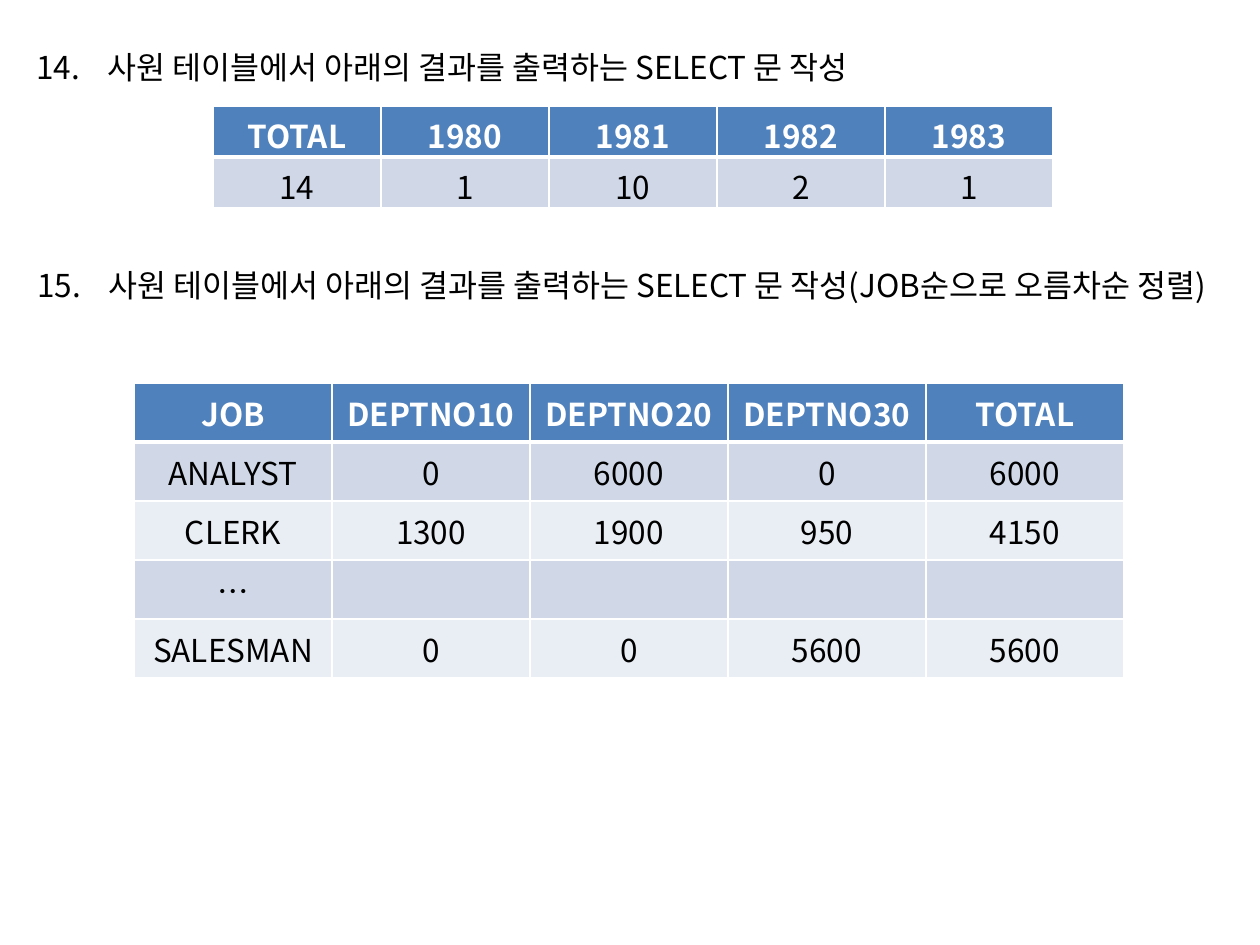
from lxml import etree
from pptx import Presentation
from pptx.dml.color import RGBColor
from pptx.enum.text import MSO_ANCHOR, PP_ALIGN
from pptx.oxml.ns import qn
from pptx.util import Emu, Pt

SCALE = 914400 // 126
CENTER, MIDDLE = PP_ALIGN.CENTER, MSO_ANCHOR.MIDDLE
FONT = "Noto Sans CJK KR"
WHITE, BLACK = "FFFFFF", "000000"
HEADER_FILL, BAND_FILLS = "4F81BD", ("D0D8E8", "E9EDF4")
HEADER_TEXT = {"bold": True, "color": WHITE}
BODY_TEXT = {"bold": False, "color": BLACK}


def px(length):
    return Emu(length * SCALE)


def color(value):
    return RGBColor.from_string(value)


def add_span(para, text, style):
    span = para.add_run()
    span.text = text
    values = {"name": FONT, "size": Pt(18), "bold": style["bold"]}
    for name, value in values.items():
        setattr(span.font, name, value)
    span.font.color.rgb = color(style["color"])
    etree.SubElement(span.font._element, qn("a:ea"), typeface=FONT)


def add_question(page, box, number, text):
    """Numbered question with a hanging indent."""
    frame = page.shapes.add_textbox(*map(px, box)).text_frame
    frame.word_wrap = True
    para = frame.paragraphs[0]
    para.line_spacing = 1.7
    para.space_before = Pt(3.6)
    add_span(para, text, BODY_TEXT)
    props = para._p.get_or_add_pPr()
    props.set("marL", str(px(71)))
    props.set("indent", str(px(-71)))
    etree.SubElement(props, qn("a:buFont"), typeface=FONT)
    etree.SubElement(props, qn("a:buAutoNum"), type="arabicPeriod", startAt=str(number))


def set_borders(cell, widths):
    props = cell._tc.get_or_add_tcPr()
    for index, (side, width) in enumerate(widths.items()):
        line = etree.Element(qn("a:ln" + side), w=str(Pt(width)))
        fill = etree.SubElement(line, qn("a:solidFill"))
        etree.SubElement(fill, qn("a:srgbClr"), val=WHITE)
        props.insert(index, line)


def add_result_table(page, box, rows):
    """Result grid: header row, then banded rows, in equal columns and rows."""
    left, top, width, height = box
    frame = page.shapes.add_table(len(rows), len(rows[0]), *map(px, box))
    table = frame.table
    for column in table.columns:
        column.width = px(width // len(rows[0]))
    for row_index, values in enumerate(rows):
        table.rows[row_index].height = px(height // len(rows))
        header = row_index == 0
        fill = HEADER_FILL if header else BAND_FILLS[(row_index - 1) % 2]
        for column_index, value in enumerate(values):
            cell = table.cell(row_index, column_index)
            cell.vertical_anchor = MIDDLE
            cell.fill.solid()
            cell.fill.fore_color.rgb = color(fill)
            set_borders(cell, {"L": 1, "R": 1, "T": 3 if row_index == 1 else 1,
                               "B": 3 if header else 1})
            para = cell.text_frame.paragraphs[0]
            para.alignment = CENTER
            if value:
                add_span(para, value, HEADER_TEXT if header else BODY_TEXT)


deck = Presentation()
deck.slide_width, deck.slide_height = px(1260), px(945)
page = deck.slides.add_slide(deck.slide_layouts[6])

# Question 14: hires per year
add_question(page, (24, 15, 1212, 89), 14,
             "사원 테이블에서 아래의 결과를 출력하는 SELECT 문 작성")
add_result_table(page, (213, 106, 840, 102), [
    ["TOTAL", "1980", "1981", "1982", "1983"],
    ["14", "1", "10", "2", "1"],
])

# Question 15: salary by job and department
add_question(page, (25, 233, 1212, 130), 15,
             "사원 테이블에서 아래의 결과를 출력하는 SELECT 문 작성(JOB순으로 오름차순 정렬)")
add_result_table(page, (134, 383, 990, 295), [
    ["JOB", "DEPTNO10", "DEPTNO20", "DEPTNO30", "TOTAL"],
    ["ANALYST", "0", "6000", "0", "6000"],
    ["CLERK", "1300", "1900", "950", "4150"],
    ["…", "", "", "", ""],
    ["SALESMAN", "0", "0", "5600", "5600"],
])

deck.save("out.pptx")
